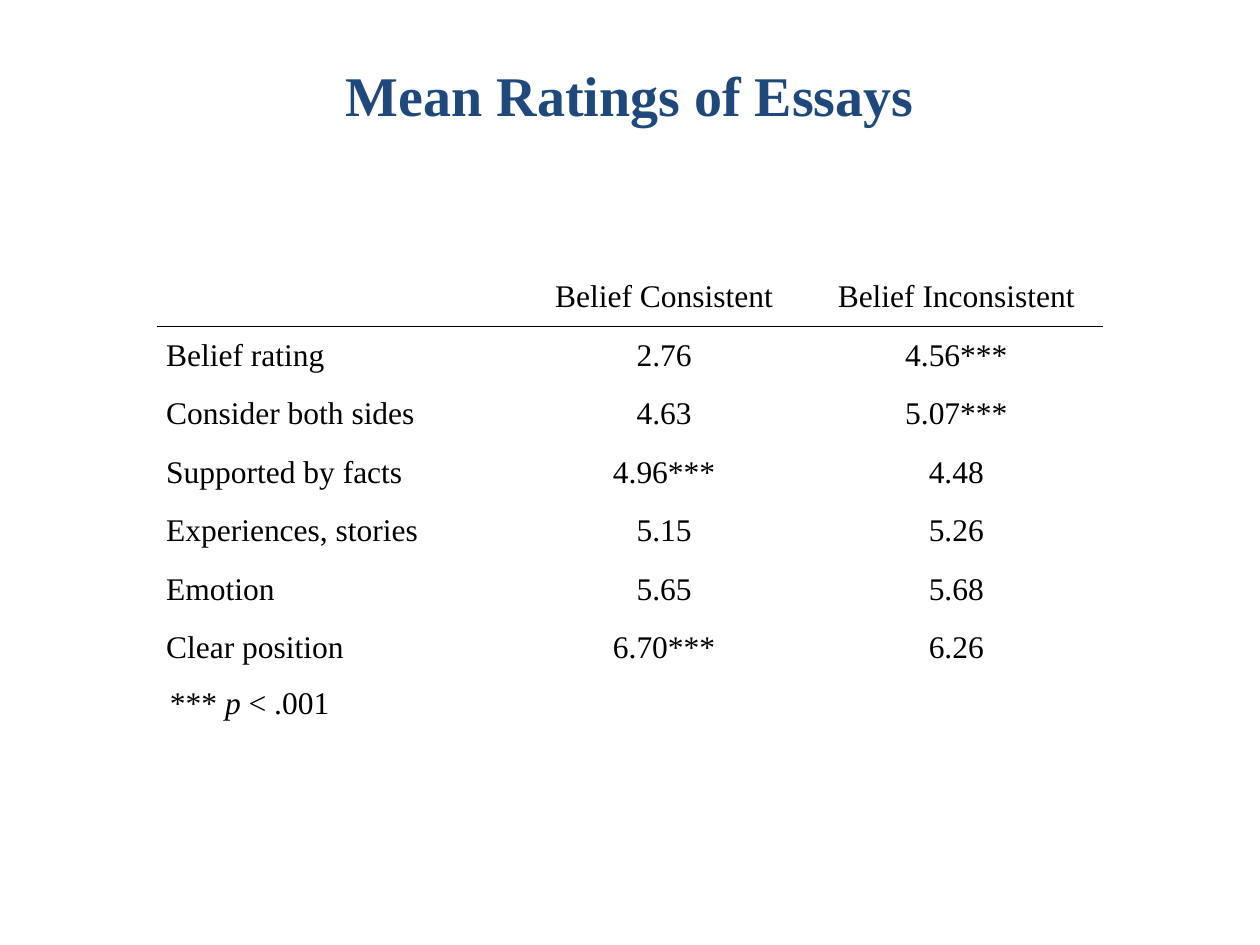
from lxml import etree
from pptx import Presentation
from pptx.dml.color import RGBColor
from pptx.enum.text import MSO_ANCHOR, MSO_AUTO_SIZE, PP_ALIGN
from pptx.oxml.ns import qn
from pptx.util import Pt

LEFT, CENTER = PP_ALIGN.LEFT, PP_ALIGN.CENTER
MIDDLE = MSO_ANCHOR.MIDDLE
FIT_SHAPE = MSO_AUTO_SIZE.SHAPE_TO_FIT_TEXT
FONT, BLACK, NAVY = "Times New Roman", "000000", "1F497D"

TITLE = "Mean Ratings of Essays"
RATINGS = [
    ("", "Belief Consistent", "Belief Inconsistent"),
    ("Belief rating", "2.76", "4.56***"),
    ("Consider both sides", "4.63", "5.07***"),
    ("Supported by facts", "4.96***", "4.48"),
    ("Experiences, stories", "5.15", "5.26"),
    ("Emotion", "5.65", "5.68"),
    ("Clear position", "6.70***", "6.26"),
]
SIGNIFICANCE = [("*** ", False), ("p", True), (" < .001", False)]
COLUMN_WIDTHS = (206, 167, 167)
ROW_HEIGHT = 33.43
TABLE_LEFT, TABLE_TOP = 90, 153


def add_text(paragraph, text, size=18, color=BLACK, bold=False, italic=False, align=LEFT):
    """Append a formatted run to the paragraph."""
    paragraph.alignment = align
    run = paragraph.add_run()
    run.text = text
    font = run.font
    font.name, font.size, font.bold, font.italic = FONT, Pt(size), bold, italic
    font.color.rgb = RGBColor.from_string(color)


def add_rule(cell, side):
    """Draw a one-point black border on the given side of the cell."""
    border = etree.Element(qn(f"a:ln{side}"), w=str(Pt(1)))
    fill = etree.SubElement(border, qn("a:solidFill"))
    etree.SubElement(fill, qn("a:srgbClr"), val=BLACK)
    cell._tc.get_or_add_tcPr().insert(0, border)


def add_ratings(slide):
    """Add the ratings table with a rule under its header."""
    table = slide.shapes.add_table(
        len(RATINGS), len(COLUMN_WIDTHS), Pt(TABLE_LEFT), Pt(TABLE_TOP),
        Pt(sum(COLUMN_WIDTHS)), Pt(ROW_HEIGHT * len(RATINGS))).table
    table.first_row = table.horz_banding = False
    for column, width in zip(table.columns, COLUMN_WIDTHS):
        column.width = Pt(width)
    for row_index, ratings in enumerate(RATINGS):
        table.rows[row_index].height = Pt(ROW_HEIGHT)
        for column_index, text in enumerate(ratings):
            cell = table.cell(row_index, column_index)
            cell.fill.background()
            cell.vertical_anchor = MIDDLE
            cell.margin_left = cell.margin_right = Pt(5)
            cell.margin_top = cell.margin_bottom = 0
            if text:
                add_text(cell.text_frame.paragraphs[0], text,
                         align=CENTER if column_index else LEFT)
            if row_index < 2:
                add_rule(cell, "T" if row_index else "B")


def main():
    """Build and save the slide."""
    deck = Presentation()
    deck.slide_width, deck.slide_height = Pt(720), Pt(540)
    slide = deck.slides.add_slide(deck.slide_layouts[5])

    title = slide.shapes.title
    title.left, title.top, title.width, title.height = Pt(18), Pt(18), Pt(684), Pt(72)
    title.text_frame.vertical_anchor = MIDDLE
    add_text(title.text_frame.paragraphs[0], TITLE, size=32, color=NAVY, bold=True, align=CENTER)

    add_ratings(slide)

    footnote = slide.shapes.add_textbox(Pt(TABLE_LEFT), Pt(387), Pt(106.5), Pt(29)).text_frame
    footnote.word_wrap = False
    footnote.auto_size = FIT_SHAPE
    for text, italic in SIGNIFICANCE:
        add_text(footnote.paragraphs[0], text, italic=italic)

    deck.save("out.pptx")


if __name__ == "__main__":
    main()
